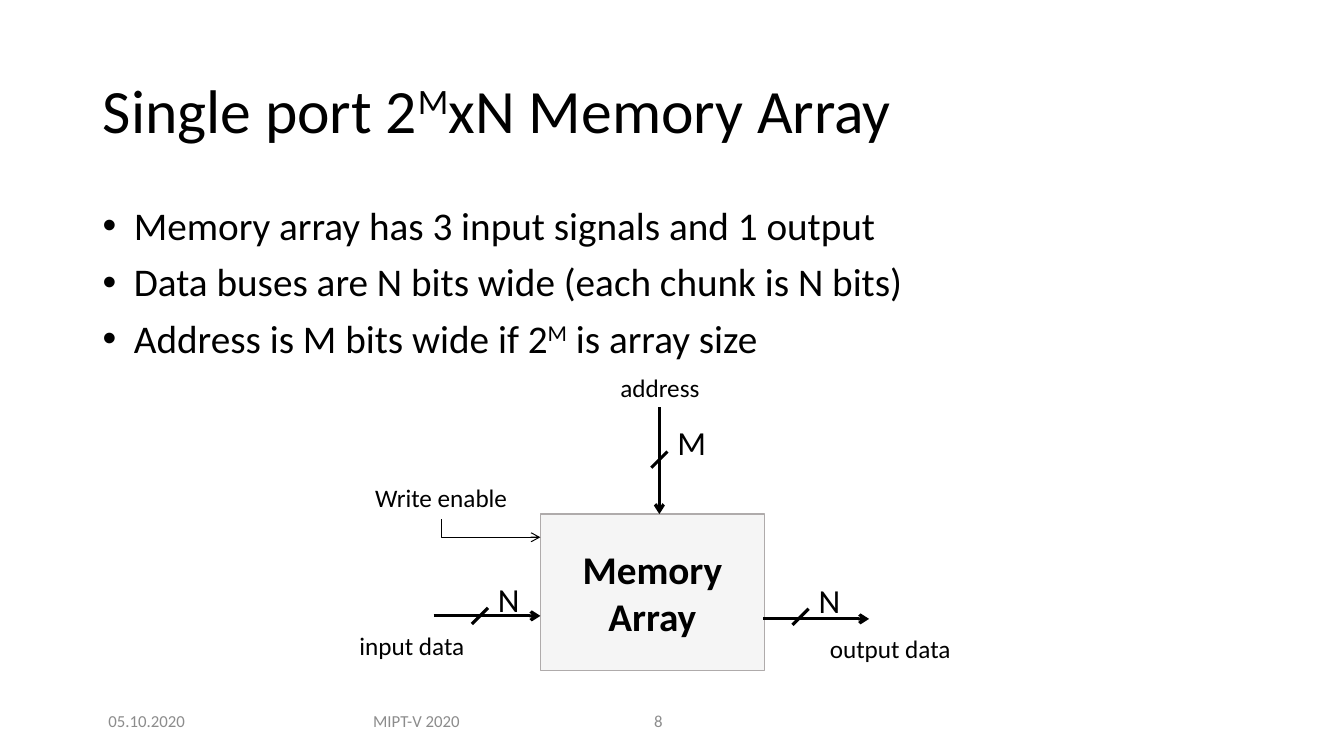
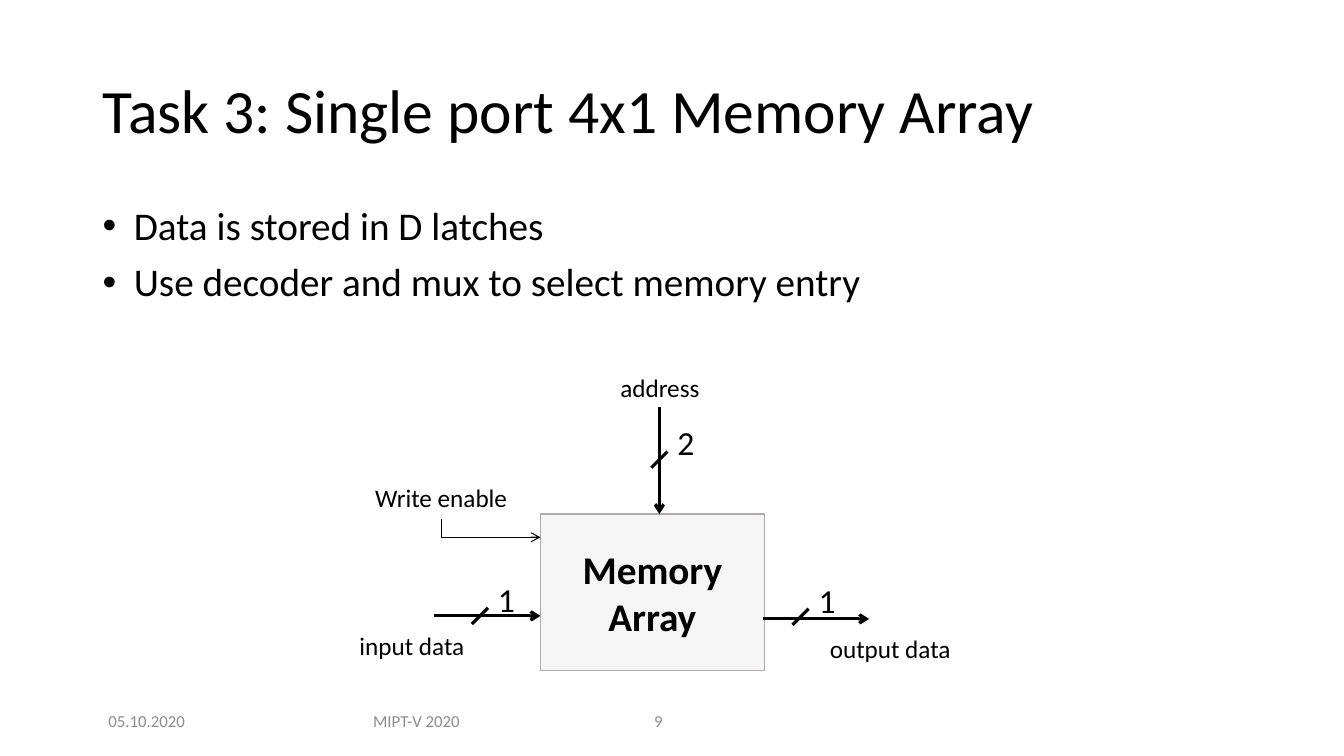
from lxml.etree import SubElement
from pptx import Presentation
from pptx.dml.color import RGBColor
from pptx.enum.shapes import MSO_CONNECTOR, MSO_SHAPE
from pptx.enum.text import MSO_ANCHOR, PP_ALIGN
from pptx.oxml.ns import qn
from pptx.util import Inches, Pt

FONT = "Calibri"
COLORS = {"text": "000000", "footer": "8C8C8C", "box": "F5F5F5", "border": "AFABAB"}

# Regions: left, top, width, height in inches
TITLE_BOX = (0.92, 0.4, 11.5, 1.45)
BODY_BOX = (0.92, 2, 11.5, 4.52)
DIAGRAM_ORIGIN = (3.44, 3.64)
FOOTER_TOP, FOOTER_HEIGHT = 6.95, 0.4

# A line of text is a list of (text, is_superscript) parts
SLIDES = [
    {
        "number": "8",
        "title": [("Single port 2", False), ("M", True), ("xN Memory Array", False)],
        "bullets": [
            [("Memory array has 3 input signals and 1 output", False)],
            [("Data buses are N bits wide (each chunk is N bits)", False)],
            [("Address is M bits wide if 2", False), ("M", True), (" is array size", False)],
        ],
        "address_width": "M",
        "data_width": "N",
    },
    {
        "number": "9",
        "title": [("Task 3: Single port 4x1 Memory Array", False)],
        "bullets": [
            [("Data is stored in D latches", False)],
            [("Use decoder and mux to select memory entry", False)],
        ],
        "address_width": "2",
        "data_width": "1",
    },
]


def rgb(name):
    return RGBColor.from_string(COLORS[name])


def style_paragraph(paragraph, size, color="text", align=PP_ALIGN.LEFT, bold=False):
    paragraph.alignment = align
    paragraph.font.name = FONT
    paragraph.font.size = Pt(size)
    paragraph.font.bold = bold
    paragraph.font.color.rgb = rgb(color)


def add_parts(paragraph, parts):
    for text, superscript in parts:
        run = paragraph.add_run()
        run.text = text
        if superscript:
            run._r.get_or_add_rPr().set("baseline", "30000")


def add_text(slide, box, text, size, color="text", align=PP_ALIGN.CENTER,
             anchor=MSO_ANCHOR.TOP):
    shape = slide.shapes.add_textbox(*map(Inches, box))
    frame = shape.text_frame
    frame.word_wrap = False
    frame.vertical_anchor = anchor
    frame.text = text
    style_paragraph(frame.paragraphs[0], size, color, align)


def add_line(slide, start, end, width=2.25, arrow=None, kind=MSO_CONNECTOR.STRAIGHT):
    """Draw a line; arrow is None, "headEnd" (at start) or "tailEnd" (at end)."""
    line = slide.shapes.add_connector(kind, *map(Inches, (*start, *end)))
    line.line.width = Pt(width)
    line.line.color.rgb = rgb("text")
    properties = line._element.spPr
    if arrow:
        SubElement(properties.find(qn("a:ln")), qn("a:" + arrow), type="arrow")
    SubElement(properties, qn("a:effectLst"))
    return line


def add_title(slide, box, parts):
    title = slide.shapes.title
    title.left, title.top, title.width, title.height = map(Inches, box)
    title.text_frame.vertical_anchor = MSO_ANCHOR.MIDDLE
    paragraph = title.text_frame.paragraphs[0]
    add_parts(paragraph, parts)
    style_paragraph(paragraph, 44)
    paragraph.line_spacing = 0.9


def add_bullets(slide, box, bullets):
    frame = slide.shapes.add_textbox(*map(Inches, box)).text_frame
    frame.word_wrap = True
    for index, parts in enumerate(bullets):
        paragraph = frame.add_paragraph() if index else frame.paragraphs[0]
        add_parts(paragraph, parts)
        style_paragraph(paragraph, 28)
        paragraph.line_spacing = 0.9
        paragraph.space_before = Pt(10)
        properties = paragraph._p.get_or_add_pPr()
        properties.set("marL", str(Inches(0.31)))
        properties.set("indent", str(-Inches(0.31)))
        bullet_font = properties.makeelement(qn("a:buFont"), {"typeface": "Arial"})
        bullet = properties.makeelement(qn("a:buChar"), {"char": "•"})
        # Bullets come before the default run properties
        default_run = properties.find(qn("a:defRPr"))
        default_run.addprevious(bullet_font)
        default_run.addprevious(bullet)


def add_footer(slide, top, height, number):
    for left, width, text, align in (
        (0.92, 1.07, "05.10.2020", PP_ALIGN.CENTER),
        (3.34, 1.58, "MIPT-V 2020", PP_ALIGN.CENTER),
        (6.39, 0.79, number, PP_ALIGN.LEFT),
    ):
        add_text(slide, (left, top, width, height), text, 12, "footer", align,
                 MSO_ANCHOR.MIDDLE)


def add_memory_diagram(slide, origin, address_width, data_width):
    def at(x, y):
        return origin[0] + x, origin[1] + y

    # Memory block
    block = slide.shapes.add_shape(
        MSO_SHAPE.RECTANGLE, *map(Inches, (*at(1.92, 1.46), 2.22, 1.55)))
    block.shadow.inherit = False
    block.fill.solid()
    block.fill.fore_color.rgb = rgb("box")
    block.line.color.rgb = rgb("border")
    block.line.width = Pt(1)
    frame = block.text_frame
    frame.word_wrap = False
    frame.vertical_anchor = MSO_ANCHOR.MIDDLE
    frame.text = "Memory\nArray"
    for paragraph in frame.paragraphs:
        style_paragraph(paragraph, 28, align=PP_ALIGN.CENTER, bold=True)

    # Buses: arrow, slash and width in bits
    for start, end, slash, bits in (
        ((3.1, 0.4), (3.1, 1.46), (3.1, 0.92), address_width),
        ((0.86, 2.47), (1.92, 2.47), (1.32, 2.47), data_width),
        ((4.13, 2.5), (5.18, 2.5), (4.5, 2.48), data_width),
    ):
        x, y = slash
        add_line(slide, at(*start), at(*end), arrow="tailEnd")
        add_line(slide, at(x - 0.08, y + 0.08), at(x + 0.08, y - 0.08))
        add_text(slide, (*at(x + 0.08, y - 0.42), 0.42, 0.5), bits, 24,
                 align=PP_ALIGN.LEFT)

    # Signal names
    for x, y, width, name in (
        (2.61, 0, 0.99, "address"),
        (0, 2.56, 1.29, "input data"),
        (4.69, 2.59, 1.4, "output data"),
        (0.16, 1.1, 1.55, "Write enable"),
    ):
        add_text(slide, (*at(x, y), width, 0.4), name, 18)

    # Write enable elbow, turned so that it starts at the block
    elbow = add_line(slide, at(0.94, 1.51), at(1.92, 1.69), 0.75, "headEnd",
                     MSO_CONNECTOR.ELBOW)
    properties = elbow._element.spPr
    properties.find(qn("a:prstGeom")).set("prst", "bentConnector2")
    properties.find(qn("a:xfrm")).set("rot", "10800000")


def add_memory_slide(presentation, content):
    slide = presentation.slides.add_slide(presentation.slide_layouts[5])
    add_title(slide, TITLE_BOX, content["title"])
    add_bullets(slide, BODY_BOX, content["bullets"])
    add_footer(slide, FOOTER_TOP, FOOTER_HEIGHT, content["number"])
    add_memory_diagram(slide, DIAGRAM_ORIGIN, content["address_width"],
                       content["data_width"])


def main():
    presentation = Presentation()
    presentation.slide_width = Inches(13.33)
    presentation.slide_height = Inches(7.5)
    for content in SLIDES:
        add_memory_slide(presentation, content)
    presentation.save("out.pptx")


if __name__ == "__main__":
    main()
